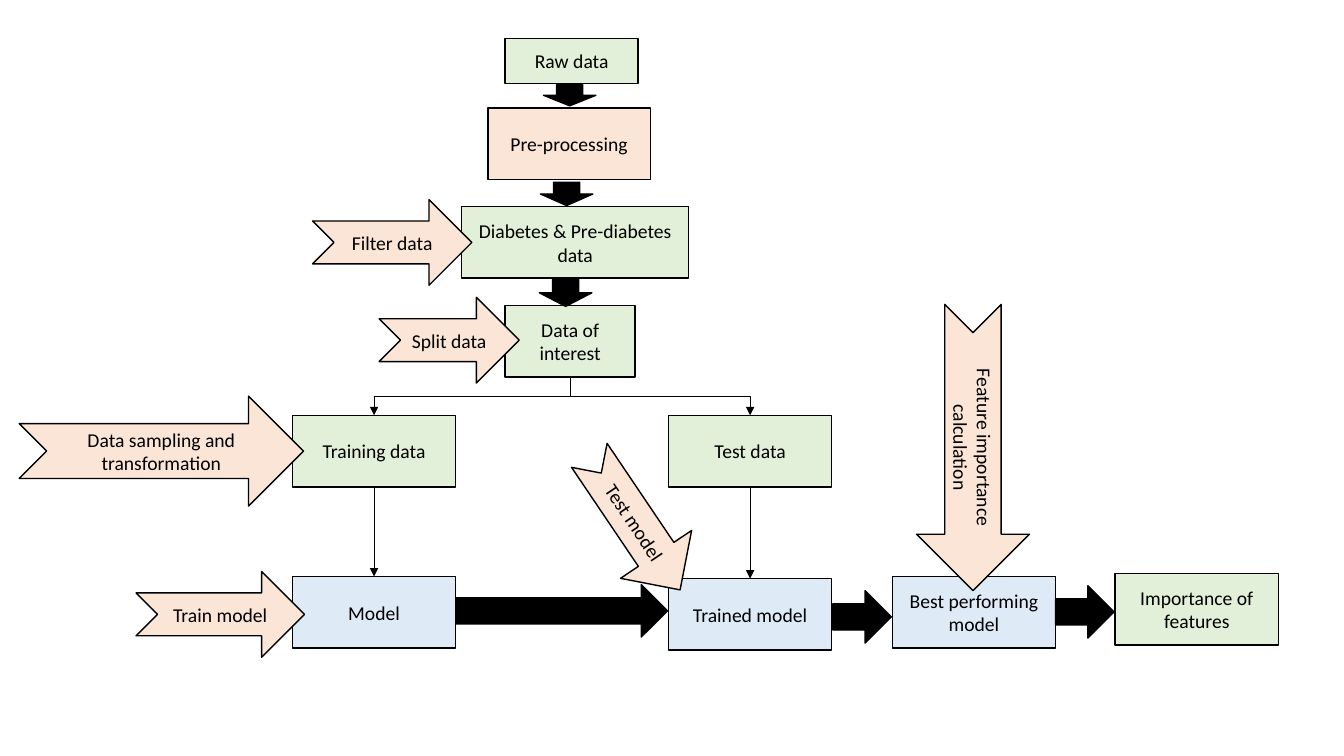
from dataclasses import dataclass

from lxml.etree import SubElement
from pptx import Presentation
from pptx.dml.color import RGBColor
from pptx.enum.shapes import MSO_CONNECTOR, MSO_SHAPE
from pptx.enum.text import MSO_ANCHOR, PP_ALIGN
from pptx.oxml.ns import qn
from pptx.shapes.autoshape import Shape
from pptx.shapes.shapetree import SlideShapes
from pptx.util import Emu, Pt

EMU_PER_PX = 9144


@dataclass(frozen=True)
class Theme:
    data: str = "E2F0D9"
    process: str = "FBE5D6"
    model: str = "DEEBF7"
    ink: str = "000000"
    font: str = "Calibri"
    text_size: float = 14
    outline: float = 1
    connector: float = 0.5


THEME = Theme()


@dataclass(frozen=True)
class Block:
    text: str
    left: int
    top: int
    width: int
    height: int
    fill: str = THEME.data
    preset: MSO_SHAPE = MSO_SHAPE.RECTANGLE
    rotation: int = 0


@dataclass(frozen=True)
class Link:
    source: str
    target: str
    bent: bool = False


def stage(text: str, left: int, top: int, fill: str = THEME.data,
          width: int = 162, height: int = 71) -> Block:
    return Block(text, left, top, width, height, fill)


def action(text: str, left: int, top: int, width: int,
           height: int = 85, rotation: int = 0) -> Block:
    return Block(text, left, top, width, height, THEME.process,
                 MSO_SHAPE.NOTCHED_RIGHT_ARROW, rotation)


def flow(left: int, top: int, height: int, rotation: int = 0) -> Block:
    return Block("", left, top, 52, height, THEME.ink, MSO_SHAPE.DOWN_ARROW, rotation)


STAGES = [
    stage("Raw data", 501, 38, width=132, height=45),
    stage("Pre-processing", 484, 107, THEME.process, width=161),
    stage("Diabetes & Pre-diabetes data", 458, 205, width=225),
    stage("Data of interest", 501, 303, width=129),
    stage("Training data", 290, 412),
    stage("Test data", 663, 412),
    stage("Model", 290, 572, THEME.model),
    stage("Trained model", 663, 574, THEME.model),
    stage("Best performing model", 885, 572, THEME.model),
    stage("Importance of features", 1106, 569),
]
ACTIONS = [
    action("Filter data", 310, 198, 158),
    action("Split data", 376, 295, 139),
    action("Data sampling and transformation", 19, 393, 282, height=109),
    action("Train model", 135, 567, 167),
    action("Test model", 549, 476, 161, rotation=56),
    action("Feature importance calculation", 823, 388, 284, height=112, rotation=90),
]
FLOWS = [
    flow(539, 84, 21),
    flow(536, 181, 23),
    flow(535, 277, 27),
    flow(531, 501, 210, rotation=270),
    flow(829, 583, 58, rotation=270),
    flow(1050, 578, 58, rotation=270),
]
LINKS = [
    Link("Data of interest", "Training data", bent=True),
    Link("Data of interest", "Test data", bent=True),
    Link("Training data", "Model"),
    Link("Test data", "Trained model"),
]


def px(length: int) -> Emu:
    return Emu(length * EMU_PER_PX)


def write_text(shape: Shape, text: str, *, size: float = THEME.text_size,
               color: str = THEME.ink, align: PP_ALIGN = PP_ALIGN.CENTER) -> None:
    frame = shape.text_frame
    frame.word_wrap = True
    frame.vertical_anchor = MSO_ANCHOR.MIDDLE
    paragraph = frame.paragraphs[0]
    paragraph.alignment = align
    run = paragraph.add_run()
    run.text = text
    run.font.name = THEME.font
    run.font.size = Pt(size)
    run.font.color.rgb = RGBColor.from_string(color)


def draw_block(shapes: SlideShapes, block: Block) -> Shape:
    shape = shapes.add_shape(block.preset, px(block.left), px(block.top),
                             px(block.width), px(block.height))
    shape.rotation = block.rotation
    shape.shadow.inherit = False
    shape.fill.solid()
    shape.fill.fore_color.rgb = RGBColor.from_string(block.fill)
    shape.line.color.rgb = RGBColor.from_string(THEME.ink)
    shape.line.width = Pt(THEME.outline)
    if block.text:
        write_text(shape, block.text)
    return shape


def draw_link(shapes: SlideShapes, link: Link, stages: dict[str, Shape]) -> None:
    route = MSO_CONNECTOR.ELBOW if link.bent else MSO_CONNECTOR.STRAIGHT
    connector = shapes.add_connector(route, 0, 0, 0, 0)
    connector.begin_connect(stages[link.source], 2)
    connector.end_connect(stages[link.target], 0)
    connector.line.color.rgb = RGBColor.from_string(THEME.ink)
    connector.line.width = Pt(THEME.connector)
    properties = connector._element.spPr
    SubElement(connector.line._get_or_add_ln(), qn("a:tailEnd"), type="triangle")
    SubElement(properties, qn("a:effectLst"))
    if link.bent:
        run, drop = connector.end_x - connector.begin_x, connector.end_y - connector.begin_y
        center_x = connector.begin_x + run // 2
        center_y = connector.begin_y + drop // 2
        connector.width, connector.height = Emu(drop), Emu(abs(run))
        connector.left = Emu(center_x - drop // 2)
        connector.top = Emu(center_y - abs(run) // 2)
        turn = properties.find(qn("a:xfrm"))
        turn.set("rot", str((270 if run > 0 else 90) * 60000))
        turn.set("flipH", "1" if run > 0 else "0")


def main() -> None:
    presentation = Presentation()
    presentation.slide_width, presentation.slide_height = px(1333), px(750)
    shapes = presentation.slides.add_slide(presentation.slide_layouts[6]).shapes
    stages = {block.text: draw_block(shapes, block) for block in STAGES}
    for block in ACTIONS + FLOWS:
        draw_block(shapes, block)
    for link in LINKS:
        draw_link(shapes, link, stages)
    presentation.save("out.pptx")


if __name__ == "__main__":
    main()
